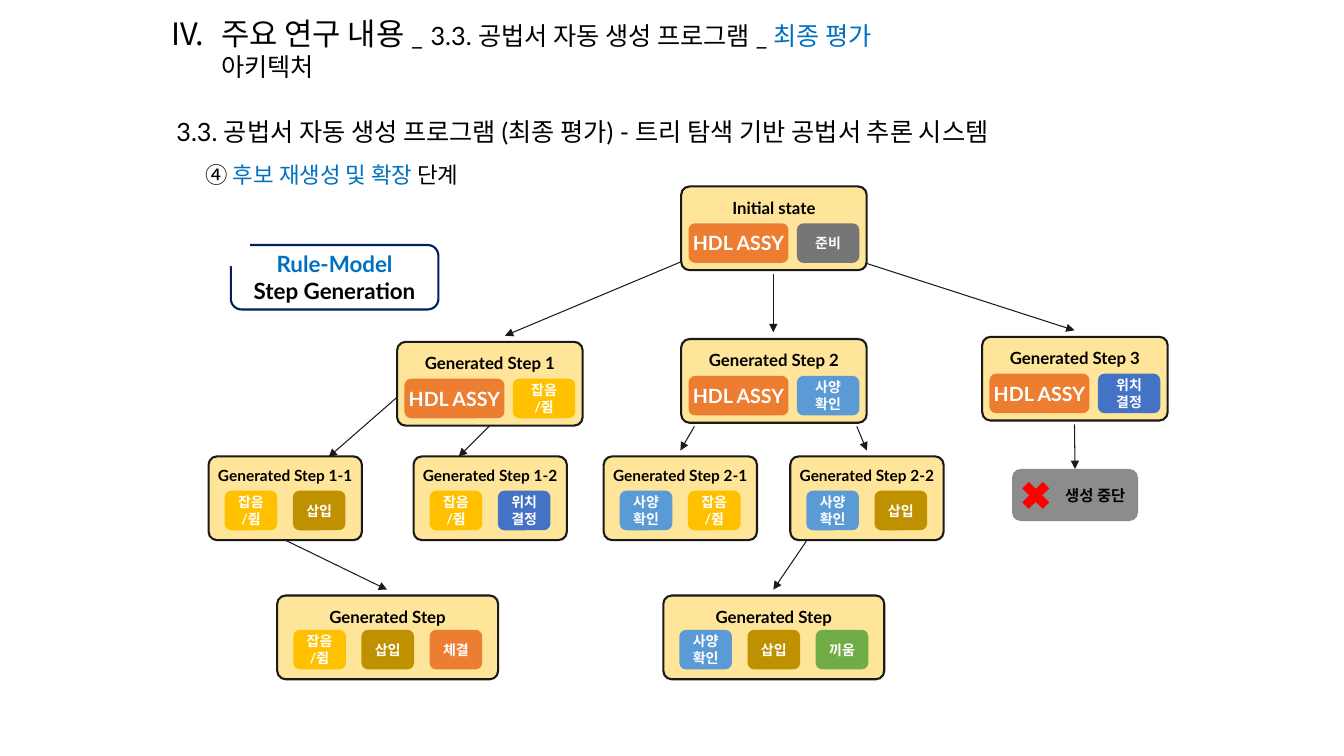
from lxml import etree
from pptx import Presentation
from pptx.dml.color import RGBColor
from pptx.enum.shapes import MSO_CONNECTOR, MSO_SHAPE
from pptx.enum.text import MSO_ANCHOR, MSO_AUTO_SIZE, PP_ALIGN
from pptx.oxml.ns import qn
from pptx.util import Pt

ROUNDED, CAN, CROSS = MSO_SHAPE.ROUNDED_RECTANGLE, MSO_SHAPE.CAN, MSO_SHAPE.MATH_MULTIPLY
STRAIGHT = MSO_CONNECTOR.STRAIGHT
LEFT, CENTER, RIGHT = PP_ALIGN.LEFT, PP_ALIGN.CENTER, PP_ALIGN.RIGHT
TOP, MIDDLE = MSO_ANCHOR.TOP, MSO_ANCHOR.MIDDLE
FIXED = MSO_AUTO_SIZE.NONE
BLACK, WHITE, BLUE, INK = "000000", "FFFFFF", "0070C0", "1A1A1A"

GRIP = ("잡음\n/쥠", "FFC000")
CHECK = ("사양\n확인", "5B9BD5")
PLACE = ("위치\n결정", "4472C4")
INSERT = ("삽입", "BF9000")
FASTEN = ("체결", "ED7D31")
FIT = ("끼움", "70AD47")
READY = ("준비", "767676")

ASSEMBLY_NODES = [
    ("Initial state", 486.6, 133.2, READY),
    ("Generated Step 1", 283.7, 244.2, GRIP),
    ("Generated Step 2", 486.6, 242.2, CHECK),
    ("Generated Step 3", 701.6, 240.6, PLACE),
]
STEP_NODES = [
    ("Generated Step 1-1", 149, 326, 109.5, 11, [GRIP, INSERT]),
    ("Generated Step 1-2", 295.4, 326, 109.5, 11, [GRIP, PLACE]),
    ("Generated Step 2-1", 431.2, 326, 109.5, 11, [CHECK, GRIP]),
    ("Generated Step 2-2", 564.5, 326, 109.5, 11, [CHECK, INSERT]),
    ("Generated Step", 198, 425.4, 157.8, 12, [GRIP, INSERT, FASTEN]),
    ("Generated Step", 473.8, 425.4, 157.8, 12, [CHECK, INSERT, FIT]),
]
FREE_ARROWS = [
    (552.4, 196, 552.4, 237.4),
    (283.7, 283.7, 234.7, 326.5),
    (576, 386.5, 552.4, 421.2),
    (612, 304.6, 619.2, 321.8),
    (496, 304.6, 486, 321.8),
    (618.5, 188, 767.5, 236),
    (486, 187.2, 360.7, 239.8),
]


class SlideArtist:
    """Holds the text style and the slide being drawn."""

    def __init__(self, slide, font="Lato"):
        """Keep the slide and the default font."""
        self.slide = slide
        self.font = font

    def color(self, value):
        """Turn a hex string into a colour."""
        return RGBColor.from_string(value)

    def span(self, para, text, size, color=BLACK, bold=False, font=None):
        """Add one run to a paragraph."""
        span = para.add_run()
        span.text = text
        span.font.name = font or self.font
        span.font.size = Pt(size)
        span.font.bold = bold
        span.font.color.rgb = self.color(color)

    def frame(self, box, anchor, margin=None):
        """Set wrapping, anchor and side margins of a text frame."""
        frame = box.text_frame
        frame.word_wrap = True
        frame.auto_size = FIXED
        frame.vertical_anchor = anchor
        if margin is not None:
            frame.margin_left = frame.margin_right = Pt(margin)
        return frame

    def lines(self, box, lines, align=CENTER, margin=0):
        """Write bold (text, size, color) lines in the middle of a shape."""
        frame = self.frame(box, MIDDLE, margin)
        for index, (text, size, color) in enumerate(lines):
            para = frame.add_paragraph() if index else frame.paragraphs[0]
            para.alignment = align
            self.span(para, text, size, color, True)

    def shape(self, kind, left, top, width, height, fill, line=None, corner=None):
        """Draw a preset shape."""
        box = self.slide.shapes.add_shape(kind, Pt(left), Pt(top), Pt(width), Pt(height))
        box.shadow.inherit = False
        box.fill.solid()
        box.fill.fore_color.rgb = self.color(fill)
        if line:
            box.line.color.rgb = self.color(line)
            box.line.width = Pt(1.5)
        else:
            box.line.fill.background()
        if corner is not None:
            box.adjustments[0] = corner
        return box

    def placeholder(self, index, left, top, width, height, spans,
                    anchor=TOP, spacing=1.0, indent=0, hanging=0, number=None):
        """Move a placeholder and write one paragraph in it."""
        box = self.slide.placeholders[index]
        box.left, box.top, box.width, box.height = Pt(left), Pt(top), Pt(width), Pt(height)
        para = self.frame(box, anchor).paragraphs[0]
        para.alignment = LEFT
        para.line_spacing = spacing
        para.space_before = Pt(0)
        properties = para._p.get_or_add_pPr()
        properties.set("marL", str(Pt(indent)))
        properties.set("indent", str(Pt(-hanging)))
        bullet = etree.SubElement(properties, qn("a:buAutoNum" if number else "a:buNone"))
        if number:
            bullet.set("type", "romanUcPeriod")
            bullet.set("startAt", str(number))
        for span in spans:
            self.span(para, **span)

    def node(self, title, left, top, width, size=12):
        """Draw a tree node with its heading."""
        box = self.shape(ROUNDED, left, top, width, 59.8, "FFE599", INK, 0.1)
        label = self.slide.shapes.add_textbox(
            Pt(left - 10), Pt(top - 4.3), Pt(width + 20), Pt(28))
        para = self.frame(label, TOP).paragraphs[0]
        para.alignment = CENTER
        para.line_spacing = 1.6
        self.span(para, title, size, BLACK, True)
        return box

    def chip(self, left, top, width, action, size=10):
        """Draw a coloured action chip."""
        text, fill = action
        box = self.shape(ROUNDED, left, top, width, 28.3, fill)
        self.lines(box, [(line, size, WHITE) for line in text.split("\n")])

    def assembly_node(self, title, left, top, action):
        """Draw a node with the assembly chip and one action."""
        box = self.node(title, left, top, 132.5)
        self.chip(left + 5.2, top + 26.3, 71.4, ("HDL ASSY", "ED7D31"), 14)
        self.chip(left + 82.6, top + 26.3, 44.6, action)
        return box

    def step_node(self, title, left, top, width, size, actions):
        """Draw a node with a row of actions."""
        box = self.node(title, left, top, width, size)
        for index, action in enumerate(actions):
            self.chip(left + 11.5 + 48.7 * index, top + 24.5, 37.6, action)
        return box

    def arrow(self, x1, y1, x2, y2, start=None, end=None):
        """Draw an arrow, joined to a start bottom or an end top if given."""
        line = self.slide.shapes.add_connector(STRAIGHT, Pt(x1), Pt(y1), Pt(x2), Pt(y2))
        if start is not None:
            line.begin_connect(start, 2)
        if end is not None:
            line.end_connect(end, 0)
        line.line.color.rgb = self.color(INK)
        line.line.width = Pt(0.75)
        etree.SubElement(line.line._get_or_add_ln(), qn("a:tailEnd")).set("type", "triangle")
        etree.SubElement(line._element.spPr, qn("a:effectLst"))


def main():
    """Build the slide and save it."""
    deck = Presentation()
    deck.slide_width, deck.slide_height = Pt(960), Pt(540)
    artist = SlideArtist(deck.slides.add_slide(deck.slide_layouts[3]))

    artist.placeholder(0, 115.2, 13.7, 578.9, 41.8, [
        dict(text="주요 연구 내용 ", size=22, font="Roboto"),
        dict(text="_", size=18),
        dict(text=" ", size=22, font="Roboto"),
        dict(text="3.3. 공법서 자동 생성 프로그램 _ ", size=18),
        dict(text="최종 평가 ", size=18, color=BLUE),
        dict(text="아키텍처", size=18),
    ], anchor=MIDDLE, indent=35.5, hanging=35.5, number=4)
    artist.placeholder(1, 118.8, 66.2, 722.9, 46, [
        dict(text="3.3. 공법서 자동 생성 프로그램 (최종 평가) - 트리 탐색 기반 공법서 추론 시스템", size=18),
    ], spacing=1.6)
    artist.placeholder(2, 118.8, 111.6, 740.2, 33, [
        dict(text="④ ", size=16),
        dict(text="후보 재생성 및 확장", size=16, color=BLUE),
        dict(text=" 단계", size=16),
    ], indent=20.9)

    rule_model = artist.shape(ROUNDED, 164.9, 175, 148.3, 46.1, WHITE, "002060")
    artist.lines(rule_model, [("Rule-Model", 16, BLUE), ("Step Generation", 16, BLACK)])
    artist.shape(CAN, 146.9, 153.4, 31.7, 36.7, WHITE, corner=0.33)

    assembly = [artist.assembly_node(*node) for node in ASSEMBLY_NODES]
    steps = [artist.step_node(*node) for node in STEP_NODES]

    stopped = artist.shape(ROUNDED, 722.9, 335, 90, 37.2, "8C8C8C")
    artist.lines(stopped, [("생성 중단", 11, BLACK)], RIGHT, 7.2)
    artist.shape(CROSS, 725.8, 339.8, 28.1, 28.1, "FF0000")

    for ends in FREE_ARROWS:
        artist.arrow(*ends)
    artist.arrow(350, 304, 327.6, 326.2, start=assembly[1])
    artist.arrow(203.8, 385.8, 276.5, 421.2, start=steps[0])
    artist.arrow(767.5, 303.1, 767.9, 335, end=stopped)
    deck.save("out.pptx")


if __name__ == "__main__":
    main()
